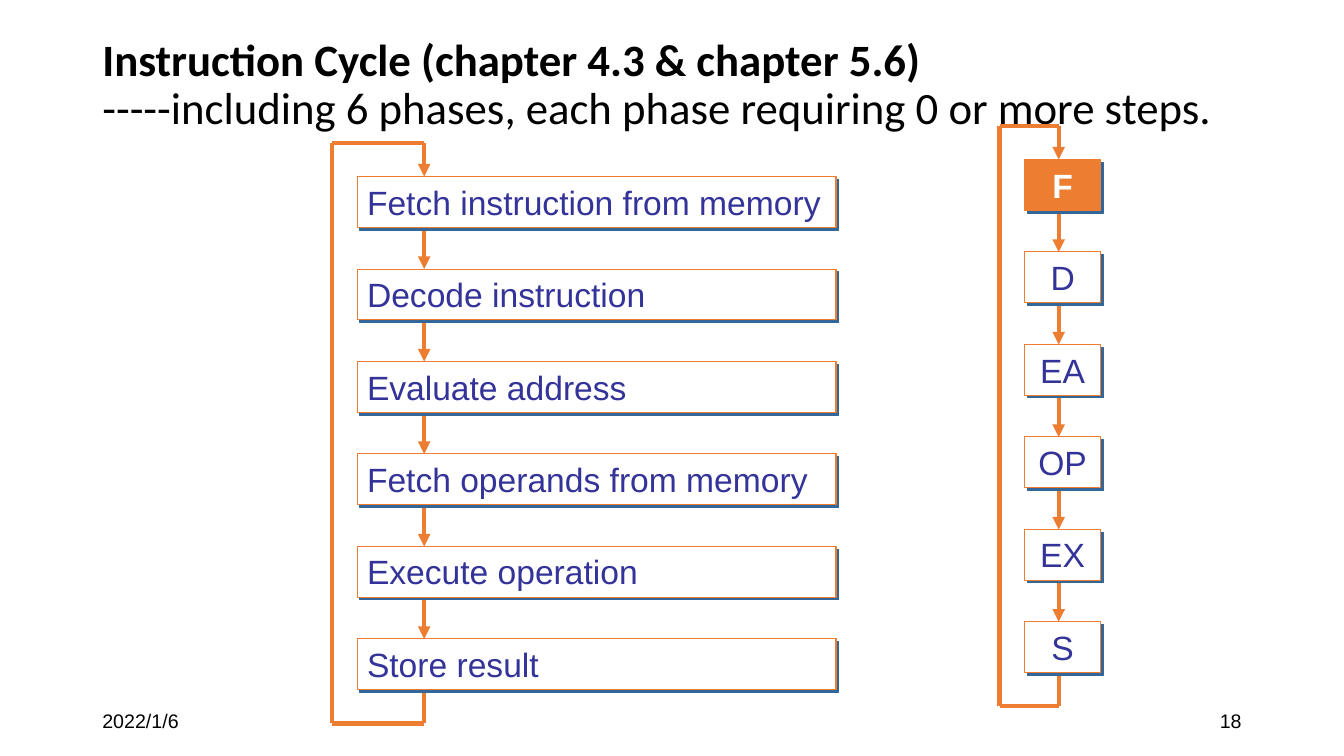
from dataclasses import dataclass
from itertools import pairwise

from lxml import etree
from pptx import Presentation
from pptx import util as u
from pptx.dml.color import RGBColor
from pptx.enum import shapes, text
from pptx.oxml import ns


@dataclass(frozen=True)
class Theme:
    ink: str = "000000"
    label: str = "333399"
    accent: str = "ED7D31"
    paper: str = "FFFFFF"
    shadow: str = "336699"
    title_font: str = "Calibri"
    body_font: str = "Arial"
    title_size: int = 32
    label_size: int = 24
    footer_size: int = 14
    outline: float = 0.75
    arrow: float = 3


@dataclass(frozen=True)
class Box:
    left: float
    top: float
    width: float
    height: float

    def lengths(self):
        return [u.Cm(value) for value in (self.left, self.top, self.width, self.height)]


THEME = Theme()
PHASE_PITCH = 2.33
PHASE_HEIGHT = 1.28
LOOP_INSET = 0.64
LOOP_RISE = 0.85
PHASES = [
    ("Fetch instruction from memory", "F"),
    ("Decode instruction", "D"),
    ("Evaluate address", "EA"),
    ("Fetch operands from memory", "OP"),
    ("Execute operation", "EX"),
    ("Store result", "S"),
]


def set_all(target, formats):
    for name, value in formats.items():
        setattr(target, name, value)


def write_run(paragraph, wording, font, size, color, bold=False):
    run = paragraph.add_run()
    run.text = wording
    set_all(run.font, {"name": font, "size": u.Pt(size), "bold": bold})
    run.font.color.rgb = RGBColor.from_string(color)


def add_text_area(slide, box, align):
    frame = slide.shapes.add_textbox(*box.lengths()).text_frame
    set_all(frame, {"word_wrap": True, "vertical_anchor": text.MSO_ANCHOR.MIDDLE})
    paragraph = frame.paragraphs[0]
    paragraph.alignment = align
    return paragraph


def add_title(slide, box):
    paragraph = add_text_area(slide, box, text.PP_ALIGN.LEFT)
    paragraph.line_spacing = 0.9
    style = (THEME.title_font, THEME.title_size, THEME.ink)
    write_run(paragraph, "Instruction Cycle (chapter 4.3 & chapter 5.6)", *style, bold=True)
    paragraph.add_line_break()
    write_run(paragraph, "-----including 6 phases, each phase requiring 0 or more steps.", *style)


def add_footer(slide, box, field_width):
    right = box.left + box.width - field_width
    fields = [
        ("2022/1/6", box.left, text.PP_ALIGN.LEFT),
        ("18", right, text.PP_ALIGN.RIGHT),
    ]
    for wording, left, align in fields:
        field = Box(left, box.top, field_width, box.height)
        paragraph = add_text_area(slide, field, align)
        write_run(paragraph, wording, THEME.body_font, THEME.footer_size, THEME.ink)


def add_segment(canvas, start, end, arrowhead=False):
    ends = [u.Cm(value) for value in (*start, *end)]
    connector = canvas.add_connector(shapes.MSO_CONNECTOR.STRAIGHT, *ends)
    connector.line.width = u.Pt(THEME.arrow)
    connector.line.color.rgb = RGBColor.from_string(THEME.accent)
    properties = connector._element.spPr
    if arrowhead:
        line = properties.find(ns.qn("a:ln"))
        etree.SubElement(line, ns.qn("a:tailEnd"), type="triangle")
    etree.SubElement(properties, ns.qn("a:effectLst"))


def add_hard_shadow(shape):
    shape.shadow.inherit = False
    effects = shape._element.spPr.find(ns.qn("a:effectLst"))
    shadow = etree.SubElement(
        effects, ns.qn("a:outerShdw"),
        dist=str(u.Pt(2.8)), dir="2700000", algn="ctr", rotWithShape="0",
    )
    etree.SubElement(shadow, ns.qn("a:srgbClr"), val=THEME.shadow)


def add_phase(canvas, box, wording, align, active):
    shape = canvas.add_shape(shapes.MSO_SHAPE.RECTANGLE, *box.lengths())
    shape.fill.solid()
    shape.fill.fore_color.rgb = RGBColor.from_string(THEME.accent if active else THEME.paper)
    shape.line.width = u.Pt(THEME.outline)
    shape.line.color.rgb = RGBColor.from_string(THEME.accent)
    add_hard_shadow(shape)
    set_all(shape.text_frame, {
        "word_wrap": True,
        "vertical_anchor": text.MSO_ANCHOR.TOP,
        "auto_size": text.MSO_AUTO_SIZE.SHAPE_TO_FIT_TEXT,
    })
    paragraph = shape.text_frame.paragraphs[0]
    paragraph.alignment = align
    color = THEME.paper if active else THEME.label
    write_run(paragraph, wording, THEME.body_font, THEME.label_size, color, active)


def add_cycle(canvas, box, labels, arrow_offset, align, active=None):
    tops = [box.top + index * PHASE_PITCH for index in range(len(labels))]
    arrow_x = box.left + arrow_offset
    loop_x = box.left - LOOP_INSET
    loop_top = box.top - LOOP_RISE
    last_bottom = tops[-1] + PHASE_HEIGHT
    loop_bottom = last_bottom + LOOP_RISE

    for top, following in pairwise(tops):
        add_segment(canvas, (arrow_x, top + PHASE_HEIGHT), (arrow_x, following), True)

    corners = [
        (arrow_x, last_bottom),
        (arrow_x, loop_bottom),
        (loop_x, loop_bottom),
        (loop_x, loop_top),
        (arrow_x, loop_top),
        (arrow_x, box.top),
    ]
    for start, end in pairwise(corners):
        add_segment(canvas, start, end, end == corners[-1])

    for top, label in zip(tops, labels):
        phase = Box(box.left, top, box.width, PHASE_HEIGHT)
        add_phase(canvas, phase, label, align, label == active)


def main():
    presentation = Presentation()
    set_all(presentation, {"slide_width": u.Cm(33.87), "slide_height": u.Cm(19.05)})
    slide = presentation.slides.add_slide(presentation.slide_layouts[6])
    names, codes = zip(*PHASES)
    cycle_height = (len(PHASES) - 1) * PHASE_PITCH + PHASE_HEIGHT

    add_footer(slide, Box(2.33, 17.66, 29.21, 1.01), 7.62)
    add_title(slide, Box(2.33, 1.02, 29.21, 2.29))
    add_cycle(slide.shapes, Box(9, 4.45, 12.07, cycle_height), names, 1.69,
              text.PP_ALIGN.LEFT)
    add_cycle(slide.shapes.add_group_shape().shapes, Box(25.83, 4.02, 1.9, cycle_height),
              codes, 0.85, text.PP_ALIGN.CENTER, active="F")
    presentation.save("out.pptx")


if __name__ == "__main__":
    main()
